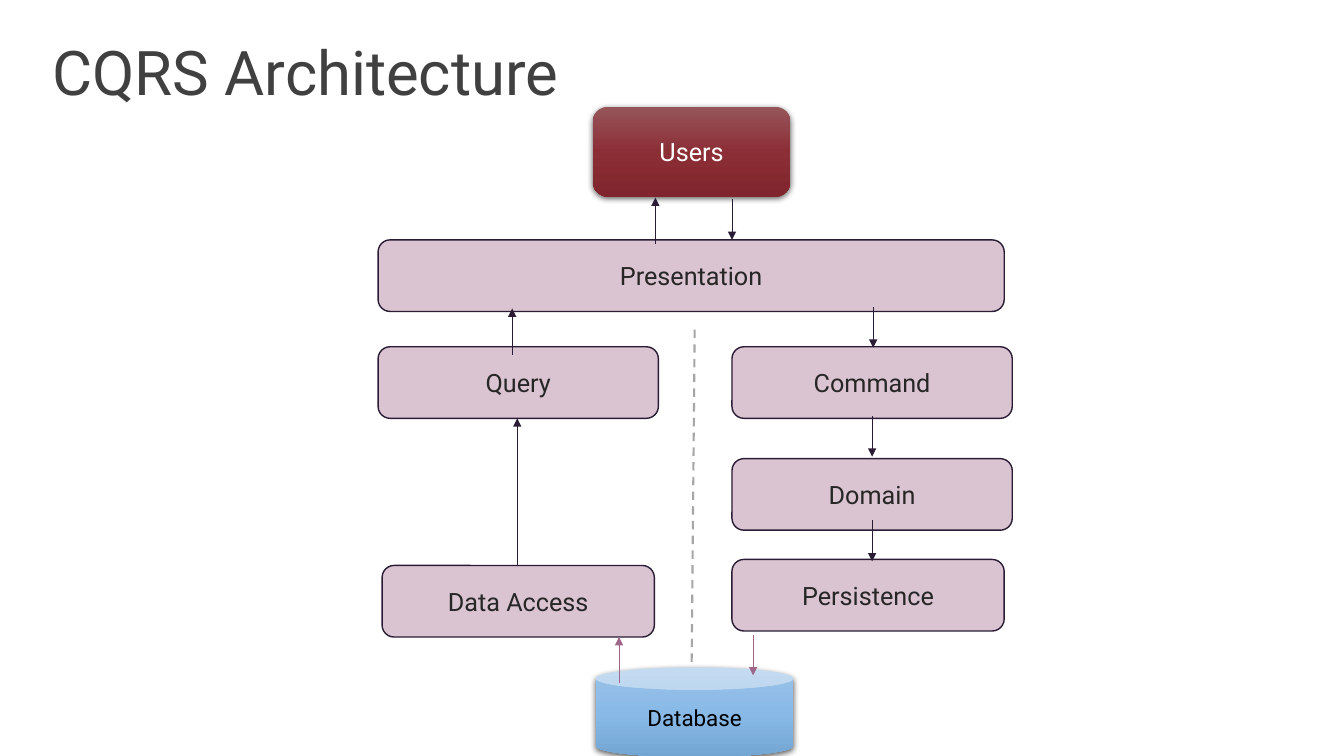
from dataclasses import dataclass

from lxml.etree import SubElement
from pptx import Presentation
from pptx.dml.color import RGBColor
from pptx.enum.dml import MSO_LINE
from pptx.enum.shapes import MSO_CONNECTOR, MSO_SHAPE
from pptx.enum.text import MSO_ANCHOR, PP_ALIGN
from pptx.oxml.ns import qn
from pptx.shapes.autoshape import Shape
from pptx.shapes.connector import Connector
from pptx.text.text import _Paragraph as Paragraph
from pptx.util import Emu, Pt

PX = 9144  # 100 px to the inch
FONT = "Roboto"
DARK, MAUVE, PINK, GREY = "291C34", "9F658B", "DBC4D2", "A6A6A6"
RED = ((0, "96565A"), (50, "8C2E36"), (100, "80252D"))
BLUE = ((0, "9BC2E7"), (50, "89BAE7"), (100, "74A6D3"))


@dataclass(frozen=True)
class Node:
    text: str
    left: int
    top: int
    width: int
    height: int = 71
    color: str = "262626"
    size: int = 18
    kind: MSO_SHAPE = MSO_SHAPE.ROUNDED_RECTANGLE
    stops: tuple[tuple[int, str], ...] = ()


@dataclass(frozen=True)
class Arrow:
    x: int
    start: int
    end: int
    color: str = DARK


NODES = (
    Node("Users", 588, 106, 196, 89, "FFFFFF", stops=RED),
    Node("Database", 591, 662, 196, 89, "000000", 16, MSO_SHAPE.CAN, BLUE),
    Node("Presentation", 375, 238, 621),
    Node("Command", 726, 344, 278),
    Node("Domain", 726, 455, 278),
    Node("Persistence", 726, 555, 270),
    Node("Query", 375, 344, 278),
    Node("Data Access", 379, 561, 270),
)
ARROWS = (
    Arrow(726, 197, 238),
    Arrow(866, 305, 345),
    Arrow(865, 413, 453),
    Arrow(865, 516, 557),
    Arrow(747, 630, 670, MAUVE),
    Arrow(650, 242, 196),
    Arrow(508, 352, 306),
    Arrow(614, 678, 632, MAUVE),
    Arrow(513, 562, 415),
)


def px(*values: int) -> list[Emu]:
    return [Emu(value * PX) for value in values]


def rgb(color: str) -> RGBColor:
    return RGBColor.from_string(color)


def style(para: Paragraph, size: int, color: str) -> None:
    para.font.name = FONT
    para.font.size = Pt(size)
    para.font.color.rgb = rgb(color)


def shade(shape: Shape, stops: tuple[tuple[int, str], ...]) -> None:
    """Give the shape a downward gradient and a soft shadow."""
    shape.fill.gradient()
    shape.fill.gradient_angle = 270
    props = shape._element.spPr
    ramp = props.find(".//" + qn("a:gsLst"))
    for old in list(ramp):
        ramp.remove(old)
    for place, color in stops:
        stop = SubElement(ramp, qn("a:gs"), pos=str(place * 1000))
        SubElement(stop, qn("a:srgbClr"), val=color)
    shadow = SubElement(
        props.find(qn("a:effectLst")), qn("a:outerShdw"),
        blurRad=str(Pt(4.5)), dist=str(Pt(1.5)), dir="5400000",
        algn="ctr", rotWithShape="0",
    )
    tint = SubElement(shadow, qn("a:srgbClr"), val="000000")
    SubElement(tint, qn("a:alpha"), val="63000")


def add_node(shapes, node: Node) -> None:
    box = px(node.left, node.top, node.width, node.height)
    shape = shapes.add_shape(node.kind, *box)
    shape.shadow.inherit = False
    if node.stops:
        shape.line.fill.background()
        shade(shape, node.stops)
    else:
        shape.fill.solid()
        shape.fill.fore_color.rgb = rgb(PINK)
        shape.line.color.rgb = rgb(DARK)
        shape.line.width = Pt(1)
    frame = shape.text_frame
    frame.word_wrap = True
    frame.vertical_anchor = MSO_ANCHOR.MIDDLE
    para = frame.paragraphs[0]
    para.text = node.text
    para.alignment = PP_ALIGN.CENTER
    style(para, node.size, node.color)


def add_line(shapes, ends: tuple[int, ...], color: str, width: float) -> Connector:
    line = shapes.add_connector(MSO_CONNECTOR.STRAIGHT, *px(*ends))
    line.line.color.rgb = rgb(color)
    line.line.width = Pt(width)
    SubElement(line._element.spPr, qn("a:effectLst"))
    return line


def add_arrow(shapes, arrow: Arrow) -> None:
    ends = (arrow.x, arrow.start, arrow.x, arrow.end)
    line = add_line(shapes, ends, arrow.color, 0.5)
    SubElement(line.line._get_or_add_ln(), qn("a:tailEnd"), type="triangle")


def add_title(shapes, text: str) -> None:
    frame = shapes.add_textbox(*px(36, 32, 1255, 98)).text_frame
    frame.word_wrap = True
    frame.margin_left, frame.margin_right = px(16, 16)
    frame.margin_top, frame.margin_bottom = px(10, 10)
    para = frame.paragraphs[0]
    para.text = text
    para.line_spacing = 0.9
    style(para, 44, "404040")


def main() -> None:
    deck = Presentation()
    deck.slide_width, deck.slide_height = px(1333, 750)
    shapes = deck.slides.add_slide(deck.slide_layouts[6]).shapes
    add_title(shapes, "CQRS Architecture")
    for node in NODES:
        add_node(shapes, node)
    for arrow in ARROWS:
        add_arrow(shapes, arrow)
    split = add_line(shapes, (689, 327, 686, 658), GREY, 1.5)
    split.line.dash_style = MSO_LINE.DASH
    deck.save("out.pptx")


if __name__ == "__main__":
    main()
